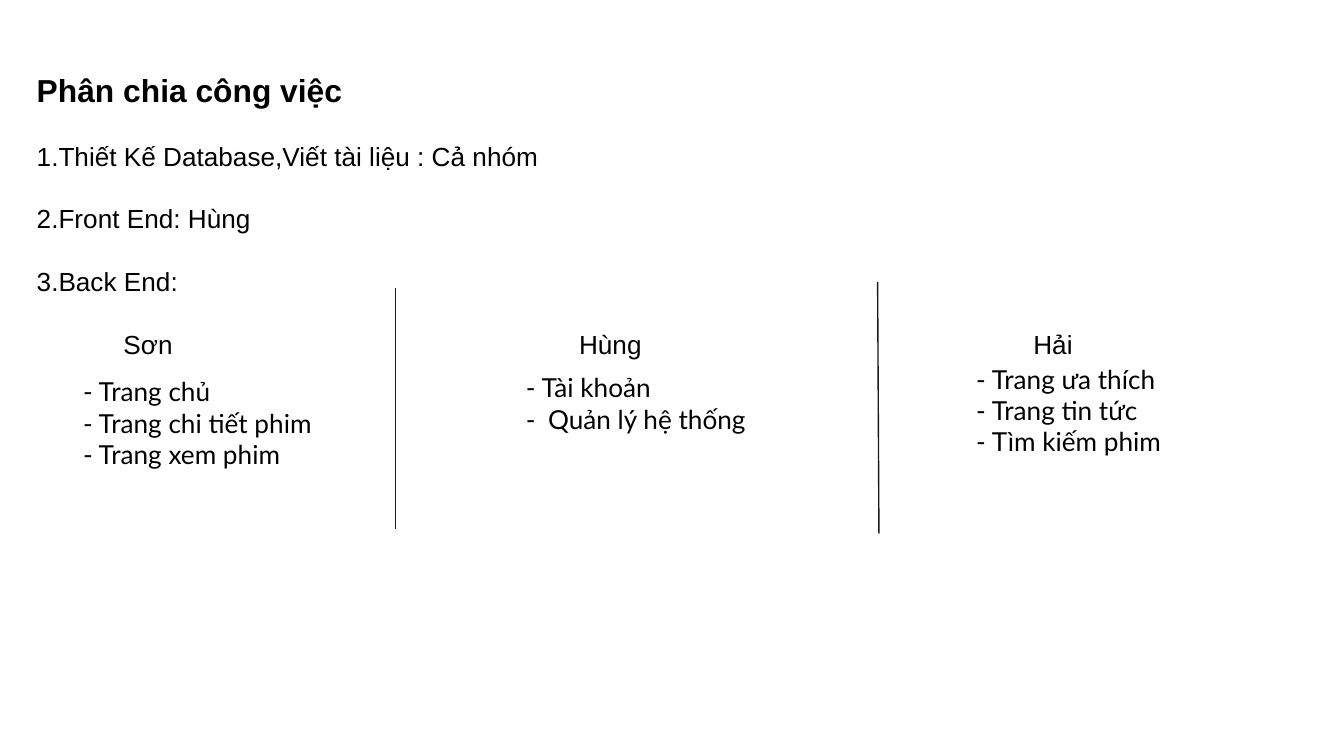
import pptx
import pptx.dml.color
import pptx.enum.shapes
import pptx.enum.text
import pptx.oxml.ns
import pptx.util
from dataclasses import dataclass
from lxml import etree

PX = 4572  # EMU per px, 200 px to the inch


@dataclass(frozen=True)
class Theme:
    text: str = "000000"
    divider: str = "1A1A1A"
    heading_font: str = "Arial"
    list_font: str = "Lato"
    title_size: int = 17
    body_size: int = 14
    gap: float = 16.8
    divider_width: float = 0.75


theme = Theme()


def add_text(left, top, width, height, lines, font_name):
    """Add a wrapped text box with one paragraph per line; return its frame."""
    box = slide.shapes.add_textbox(left * PX, top * PX, width * PX, height * PX)
    frame = box.text_frame
    frame.word_wrap = True
    frame.margin_left = frame.margin_right = 20 * PX
    frame.margin_top = frame.margin_bottom = 20 * PX
    frame.text = "\n".join(lines)
    for paragraph in frame.paragraphs:
        for run in paragraph.runs:
            run.font.name = font_name
            run.font.size = pptx.util.Pt(theme.body_size)
            run.font.color.rgb = pptx.dml.color.RGBColor.from_string(theme.text)
    return frame


def add_tab_stops(paragraph, positions):
    properties = paragraph._p.get_or_add_pPr()
    tab_list = etree.SubElement(properties, pptx.oxml.ns.qn("a:tabLst"))
    for position in positions:
        etree.SubElement(tab_list, pptx.oxml.ns.qn("a:tab"),
                         pos=str(position * PX), algn="l")


presentation = pptx.Presentation()
presentation.slide_width = 2000 * PX
presentation.slide_height = 1125 * PX
slide = presentation.slides.add_slide(presentation.slide_layouts[6])

# Title, work items and the names heading the three columns
outline = add_text(35, 38, 1934, 1046, [
    "Phân chia công việc",
    "1.Thiết Kế Database,Viết tài liệu : Cả nhóm",
    "2.Front End: Hùng",
    "3.Back End:",
    "\tSơn\tHùng\tHải",
], theme.heading_font)
outline.margin_top = 67 * PX
title, *items = outline.paragraphs
title.runs[0].font.size = pptx.util.Pt(theme.title_size)
title.runs[0].font.bold = True
add_tab_stops(items[-1], [129, 807, 1483])
for item in items:
    item.space_before = pptx.util.Pt(theme.gap)

# Back-end tasks of each member
task_lists = [
    (104, 539, 412, 182, ["- Trang chủ", "- Trang chi tiết phim", "- Trang xem phim"]),
    (763, 533, 412, 134, ["- Tài khoản", "-\tQuản lý hệ thống"]),
    (1433, 520, 352, 182, ["- Trang ưa thích", "- Trang tin tức", "- Tìm kiếm phim"]),
]
for left, top, width, height, tasks in task_lists:
    frame = add_text(left, top, width, height, tasks, theme.list_font)
    frame.auto_size = pptx.enum.text.MSO_AUTO_SIZE.SHAPE_TO_FIT_TEXT
    for paragraph in frame.paragraphs:
        if "\t" in paragraph.text:
            add_tab_stops(paragraph, [33])

# Dividers between the columns
for start_x, start_y, end_x, end_y in [(589, 429, 589, 787), (1306, 420, 1308, 794)]:
    divider = slide.shapes.add_connector(
        pptx.enum.shapes.MSO_CONNECTOR.STRAIGHT,
        start_x * PX, start_y * PX, end_x * PX, end_y * PX)
    divider.line.color.rgb = pptx.dml.color.RGBColor.from_string(theme.divider)
    divider.line.width = pptx.util.Pt(theme.divider_width)
    etree.SubElement(divider._element.spPr, pptx.oxml.ns.qn("a:effectLst"))

presentation.save("out.pptx")
